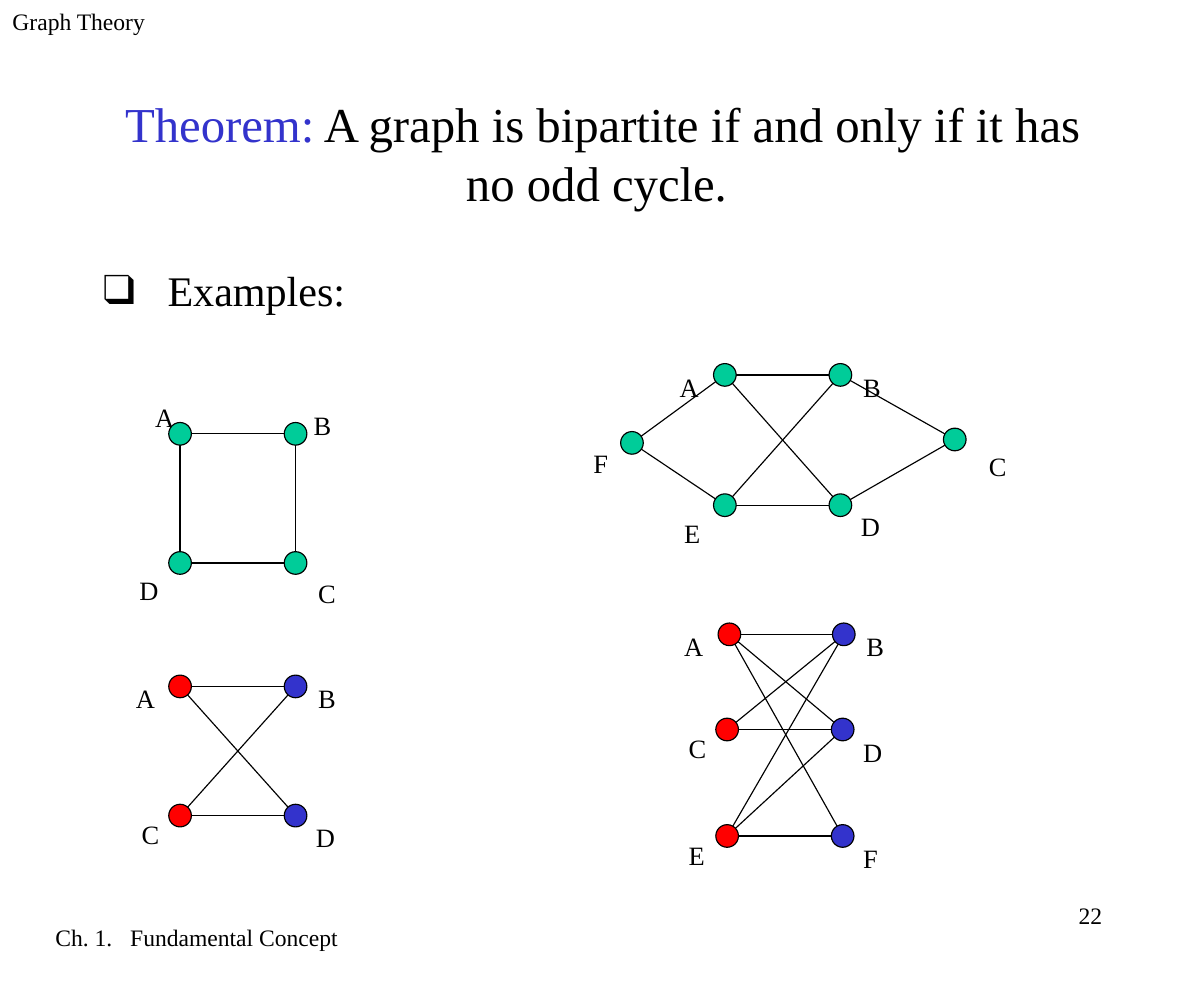
from typing import NamedTuple

from lxml import etree
from pptx import Presentation
from pptx import util as u
from pptx.dml.color import RGBColor
from pptx.enum import shapes, text
from pptx.oxml import ns

BLACK = RGBColor(0x00, 0x00, 0x00)
BLUE = RGBColor(0x33, 0x33, 0xCC)
GREEN = RGBColor(0x00, 0xCC, 0x99)
RED = RGBColor(0xFF, 0x00, 0x00)

FONT = "Times New Roman"
LINE_WIDTH = u.Pt(0.75)
VERTEX_SIZE = 0.2
LABEL_SIZE = (0.47, 0.62)
LEFT, CENTER, RIGHT = text.PP_ALIGN.LEFT, text.PP_ALIGN.CENTER, text.PP_ALIGN.RIGHT


class Vertex(NamedTuple):
    name: str
    x: float  # centre
    y: float
    label_x: float  # left and top of the label box
    label_y: float
    color: RGBColor


class Graph(NamedTuple):
    vertices: list[Vertex]
    edges: str  # pairs of vertex names


GRAPHS = [
    # Square cycle
    Graph([
        Vertex("A", 1.59, 3.83, 1.26, 3.25, GREEN),
        Vertex("B", 2.61, 3.83, 2.66, 3.32, GREEN),
        Vertex("C", 2.61, 4.97, 2.70, 4.80, GREEN),
        Vertex("D", 1.59, 4.97, 1.12, 4.77, GREEN),
    ], "AB DC AD BC"),
    # Square cycle in two colours
    Graph([
        Vertex("A", 1.59, 6.06, 1.09, 5.73, RED),
        Vertex("B", 2.61, 6.06, 2.70, 5.73, BLUE),
        Vertex("C", 1.59, 7.20, 1.14, 6.93, RED),
        Vertex("D", 2.61, 7.20, 2.68, 6.95, BLUE),
    ], "AB CD AD CB"),
    # Six vertices
    Graph([
        Vertex("A", 6.40, 3.31, 5.89, 2.98, GREEN),
        Vertex("B", 7.42, 3.31, 7.51, 2.98, GREEN),
        Vertex("C", 8.43, 3.88, 8.62, 3.68, GREEN),
        Vertex("D", 7.42, 4.46, 7.49, 4.21, GREEN),
        Vertex("E", 6.40, 4.46, 5.93, 4.27, GREEN),
        Vertex("F", 5.58, 3.91, 5.13, 3.65, GREEN),
    ], "AB ED AD EB DC EF FA BC"),
    # Six vertices in two colours
    Graph([
        Vertex("A", 6.44, 5.60, 5.93, 5.27, RED),
        Vertex("B", 7.45, 5.60, 7.54, 5.27, BLUE),
        Vertex("C", 6.42, 6.44, 5.97, 6.17, RED),
        Vertex("D", 7.44, 6.44, 7.51, 6.20, BLUE),
        Vertex("E", 6.42, 7.38, 5.97, 7.11, RED),
        Vertex("F", 7.44, 7.38, 7.51, 7.14, BLUE),
    ], "AB CD AF EB EF AD CB ED"),
]


def add_text(slide, at: tuple, *parts: tuple[str, RGBColor], size: float = 15,
             align=LEFT, anchor=text.MSO_ANCHOR.TOP, inset: float = 0.11,
             tab: float | None = None, bullet: str | None = None,
             indent: float = 0, line_spacing: float | None = None,
             baseline: int = 0, grow: bool = False) -> None:
    box = slide.shapes.add_textbox(*map(u.Inches, at))
    frame = box.text_frame
    frame.word_wrap = True
    frame.auto_size = (text.MSO_AUTO_SIZE.SHAPE_TO_FIT_TEXT if grow
                       else text.MSO_AUTO_SIZE.NONE)
    frame.vertical_anchor = anchor
    frame.margin_left, frame.margin_right = u.Inches(inset), u.Inches(0.11)
    frame.margin_top = frame.margin_bottom = u.Inches(0.06)

    paragraph = frame.paragraphs[0]
    paragraph.alignment = align
    properties = paragraph._p.get_or_add_pPr()
    if bullet:
        properties.set("marL", str(u.Inches(indent)))
        properties.set("indent", str(-u.Inches(indent)))
        etree.SubElement(properties, ns.qn("a:buFont"), typeface=FONT)
        etree.SubElement(properties, ns.qn("a:buChar"), char=bullet)
    if tab is not None:
        tabs = etree.SubElement(properties, ns.qn("a:tabLst"))
        etree.SubElement(tabs, ns.qn("a:tab"), pos=str(u.Inches(tab)), algn="l")
    if line_spacing:
        paragraph.line_spacing = line_spacing

    for words, color in parts:
        run = paragraph.add_run()
        run.text = words
        run.font.name = FONT
        run.font.size = u.Pt(size)
        run.font.color.rgb = color
        if baseline:
            run._r.get_or_add_rPr().set("baseline", str(baseline * 1000))


def add_edge(slide, start: Vertex, end: Vertex) -> None:
    ends = map(u.Inches, (start.x, start.y, end.x, end.y))
    edge = slide.shapes.add_connector(shapes.MSO_CONNECTOR.STRAIGHT, *ends)
    edge.line.color.rgb = BLACK
    edge.line.width = LINE_WIDTH
    etree.SubElement(edge._element.spPr, ns.qn("a:effectLst"))


def add_vertex(slide, vertex: Vertex) -> None:
    half = VERTEX_SIZE / 2
    disc = slide.shapes.add_shape(
        shapes.MSO_SHAPE.OVAL, u.Inches(vertex.x - half), u.Inches(vertex.y - half),
        u.Inches(VERTEX_SIZE), u.Inches(VERTEX_SIZE))
    disc.shadow.inherit = False
    disc.fill.solid()
    disc.fill.fore_color.rgb = vertex.color
    disc.line.color.rgb = BLACK
    disc.line.width = LINE_WIDTH


def add_graph(slide, graph: Graph) -> None:
    by_name = {vertex.name: vertex for vertex in graph.vertices}
    for start, end in graph.edges.split():
        add_edge(slide, by_name[start], by_name[end])
    for vertex in graph.vertices:
        add_text(slide, (vertex.label_x, vertex.label_y, *LABEL_SIZE),
                 (vertex.name, BLACK), size=29, baseline=-16, grow=True)
        add_vertex(slide, vertex)


def main() -> None:
    deck = Presentation()
    deck.slide_width, deck.slide_height = u.Inches(10.63), u.Inches(8.66)
    slide = deck.slides.add_slide(deck.slide_layouts[6])

    # Header, footer and page number
    add_text(slide, (0, 0, 2.22, 0.58), ("Graph Theory", BLACK))
    add_text(slide, (0, 8.09, 3.47, 0.58), ("Ch. 1.\tFundamental Concept", BLACK),
             inset=0.49, tab=0.66)
    add_text(slide, (7.62, 7.89, 2.22, 0.58), ("22", BLACK), align=RIGHT)

    # Theorem
    add_text(slide, (0.8, 0.77, 9.04, 1.15), ("Theorem:", BLUE),
             (" A graph is bipartite if and only if it has no odd cycle. ", BLACK),
             size=31, align=CENTER, anchor=text.MSO_ANCHOR.MIDDLE)

    # Examples
    add_text(slide, (0.8, 2.21, 9.04, 0.64), ("Examples:", BLACK),
             size=26.8, bullet="❑", indent=0.57, line_spacing=1.15)
    for graph in GRAPHS:
        add_graph(slide, graph)

    deck.save("out.pptx")


if __name__ == "__main__":
    main()
